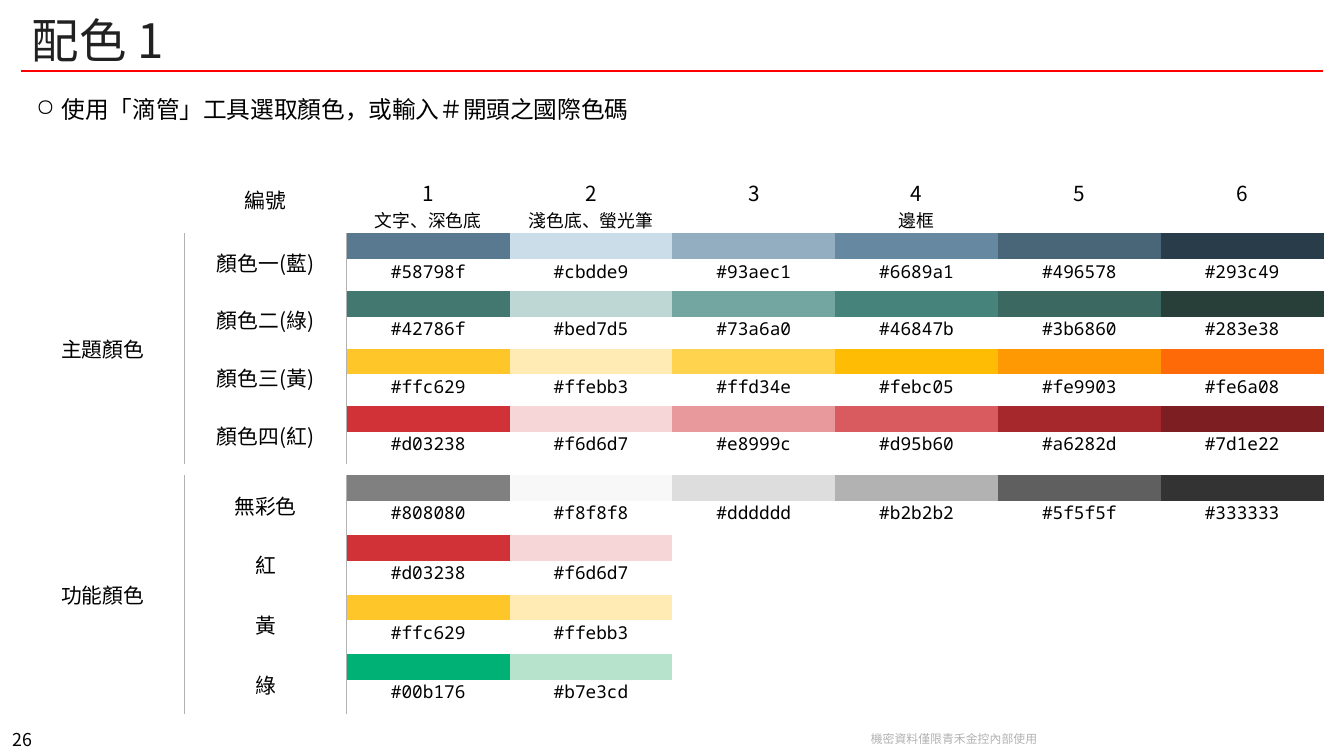
from lxml.etree import SubElement
from pptx import Presentation
from pptx.dml.color import RGBColor
from pptx.enum.shapes import MSO_CONNECTOR
from pptx.enum.text import MSO_ANCHOR, PP_ALIGN
from pptx.oxml.ns import qn
from pptx.util import Inches, Pt

SANS = "Noto Sans CJK TC"
MONO = "Noto Sans Mono"


def color(value):
    return RGBColor.from_string(value.lstrip("#").upper())


def write(paragraph, text, size, ink="000000", font=SANS, align=PP_ALIGN.CENTER):
    paragraph.alignment = align
    run = paragraph.add_run()
    run.text = text
    run.font.size = Pt(size)
    run.font.name = font
    run.font.color.rgb = color(ink)
    SubElement(run.font._element, qn("a:ea"), typeface=font)


presentation = Presentation()
presentation.slide_width = Inches(12.6)
presentation.slide_height = Inches(7.09)
slide = presentation.slides.add_slide(presentation.slide_layouts[6])

# Title, instruction, page number and footer
text_boxes = [
    ("配色 1", (0.2, 0.08, 12.21, 0.59), dict(size=32, ink="212121", align=PP_ALIGN.LEFT),
     dict(vertical_anchor=MSO_ANCHOR.MIDDLE, word_wrap=True), None),
    ("使用「滴管」工具選取顏色，或輸入＃開頭之國際色碼", (0.2, 0.79, 12.21, 0.56),
     dict(size=16, align=PP_ALIGN.LEFT),
     dict(margin_top=Inches(0.1), margin_bottom=Inches(0.1), word_wrap=True), "○"),
    ("26", (0, 6.82, 0.42, 0.26), dict(size=12),
     dict(vertical_anchor=MSO_ANCHOR.BOTTOM, word_wrap=False), None),
    ("機密資料僅限青禾金控內部使用", (8.05, 6.81, 1.79, 0.23),
     dict(size=8, ink="B2B2B2", font="Noto Sans CJK SC"),
     dict(vertical_anchor=MSO_ANCHOR.MIDDLE, word_wrap=False), None),
]
for text, place, style, frame_format, bullet in text_boxes:
    frame = slide.shapes.add_textbox(*map(Inches, place)).text_frame
    for name, value in frame_format.items():
        setattr(frame, name, value)
    paragraph = frame.paragraphs[0]
    if bullet:
        properties = paragraph._p.get_or_add_pPr()
        properties.set("marL", str(Inches(0.28)))
        properties.set("indent", str(Inches(-0.24)))
        SubElement(properties, qn("a:buChar"), char=bullet)
    write(paragraph, text, **style)

# Rule under the title
rule = slide.shapes.add_connector(
    MSO_CONNECTOR.STRAIGHT, Inches(0.2), Inches(0.67), Inches(12.4), Inches(0.67))
rule.line.color.rgb = color("FF0000")
rule.line.width = Pt(1.25)
SubElement(rule._element.spPr, qn("a:effectLst"))

# Palette data
headers = [("1", "文字、深色底"), ("2", "淺色底、螢光筆"), ("3",), ("4", "邊框"), ("5",), ("6",)]
groups = [
    ("主題顏色", 1, 0.3, [
        ("顏色一(藍)", "#58798f #cbdde9 #93aec1 #6689a1 #496578 #293c49"),
        ("顏色二(綠)", "#42786f #bed7d5 #73a6a0 #46847b #3b6860 #283e38"),
        ("顏色三(黃)", "#ffc629 #ffebb3 #ffd34e #febc05 #fe9903 #fe6a08"),
        ("顏色四(紅)", "#d03238 #f6d6d7 #e8999c #d95b60 #a6282d #7d1e22"),
    ]),
    ("功能顏色", 10, 0.32, [
        ("無彩色", "#808080 #f8f8f8 #dddddd #b2b2b2 #5f5f5f #333333"),
        ("紅", "#d03238 #f6d6d7"),
        ("黃", "#ffc629 #ffebb3"),
        ("綠", "#00b176 #b7e3cd"),
    ]),
]

# Table grid without style
table = slide.shapes.add_table(
    18, 8, Inches(0.2), Inches(1.56), Inches(12.21), Inches(5.14)).table
table.first_row = table.horz_banding = False
table._tbl.tblPr.find(qn("a:tableStyleId")).text = "{2D5ABB26-0587-4C30-8999-92F81FD0307C}"
for column in table.columns:
    column.width = Inches(12.21 / 8)
table.rows[0].height = Inches(0.63)
table.rows[9].height = Inches(0.11)
for cell in table.iter_cells():
    cell.margin_top = cell.margin_bottom = 0
    cell.fill.background()

# Column headers
write(table.cell(0, 1).text_frame.paragraphs[0], "編號", 14)
table.cell(0, 1).vertical_anchor = MSO_ANCHOR.MIDDLE
for column, lines in enumerate(headers, 2):
    cell = table.cell(0, column)
    cell.margin_top = Inches(0.1)
    write(cell.text_frame.paragraphs[0], lines[0], 14)
    for line in lines[1:]:
        write(cell.text_frame.add_paragraph(), line, 12)

# Groups: each colour has a swatch row and a code row
for group, first_row, code_height, palettes in groups:
    labels = [(group, first_row, 0, 7)]
    for index, (label, codes) in enumerate(palettes):
        row = first_row + 2 * index
        labels.append((label, row, 1, 1))
        table.rows[row].height = Inches(0.24)
        table.rows[row + 1].height = Inches(code_height)
        for column, code in enumerate(codes.split(), 2):
            swatch = table.cell(row, column).fill
            swatch.solid()
            swatch.fore_color.rgb = color(code)
            write(table.cell(row + 1, column).text_frame.paragraphs[0], code, 12, font=MONO)

    # Merged labels with the divider between the first two columns
    for label, row, column, extra_rows in labels:
        cell = table.cell(row, column)
        cell.merge(table.cell(row + extra_rows, column))
        cell.vertical_anchor = MSO_ANCHOR.MIDDLE
        write(cell.text_frame.paragraphs[0], label, 14)
    for row in range(first_row, first_row + 8):
        for column, side in ((0, "a:lnR"), (1, "a:lnL")):
            properties = table.cell(row, column)._tc.get_or_add_tcPr()
            border = SubElement(properties, qn(side), w=str(Pt(0.75)))
            properties.insert(0, border)
            fill = SubElement(border, qn("a:solidFill"))
            SubElement(fill, qn("a:srgbClr"), val="B2B2B2")

# Small type in empty cells keeps the thin rows thin
for cell in table.iter_cells():
    if not cell.text_frame.text:
        SubElement(cell.text_frame.paragraphs[0]._p, qn("a:endParaRPr"), sz="400")

presentation.save("out.pptx")
